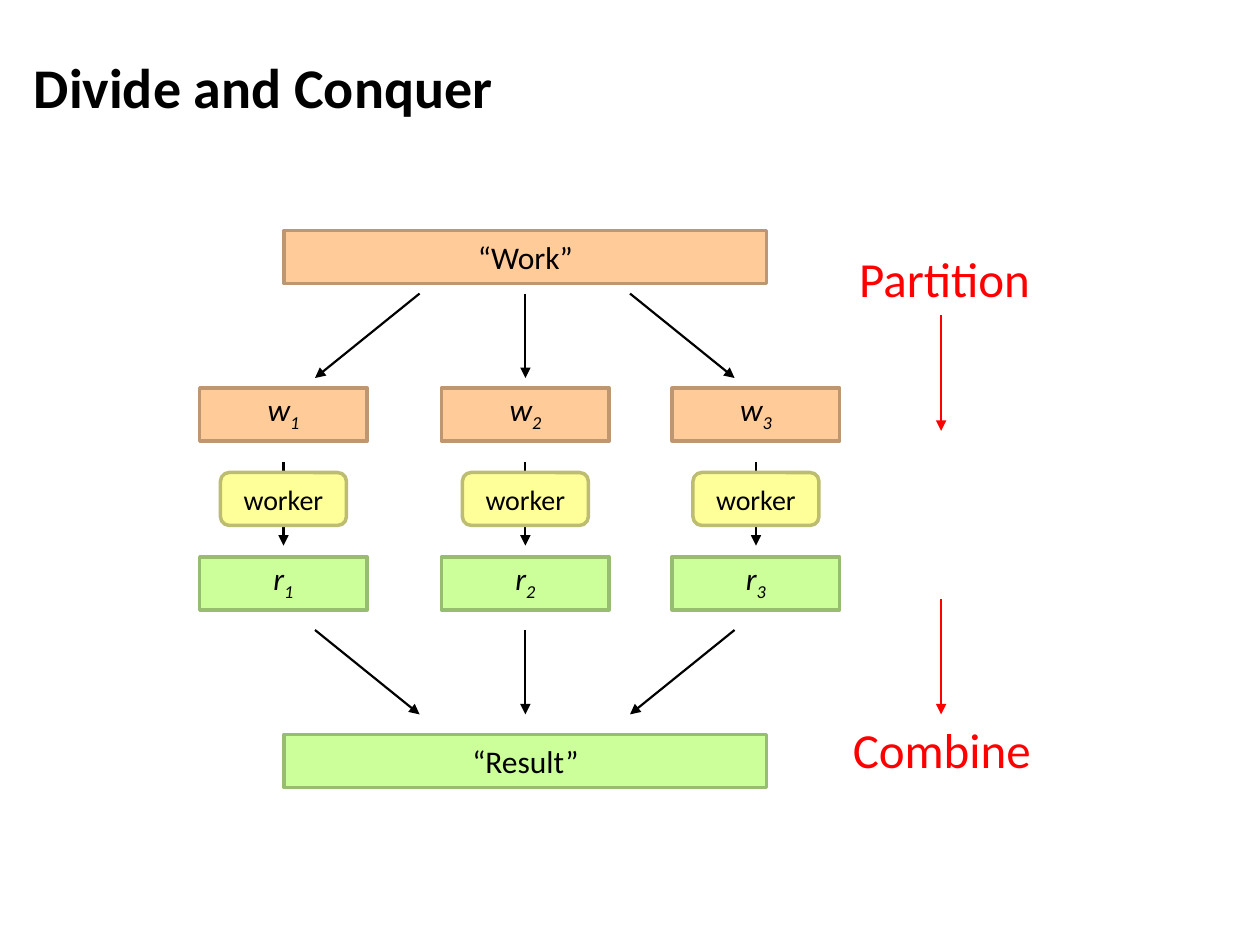
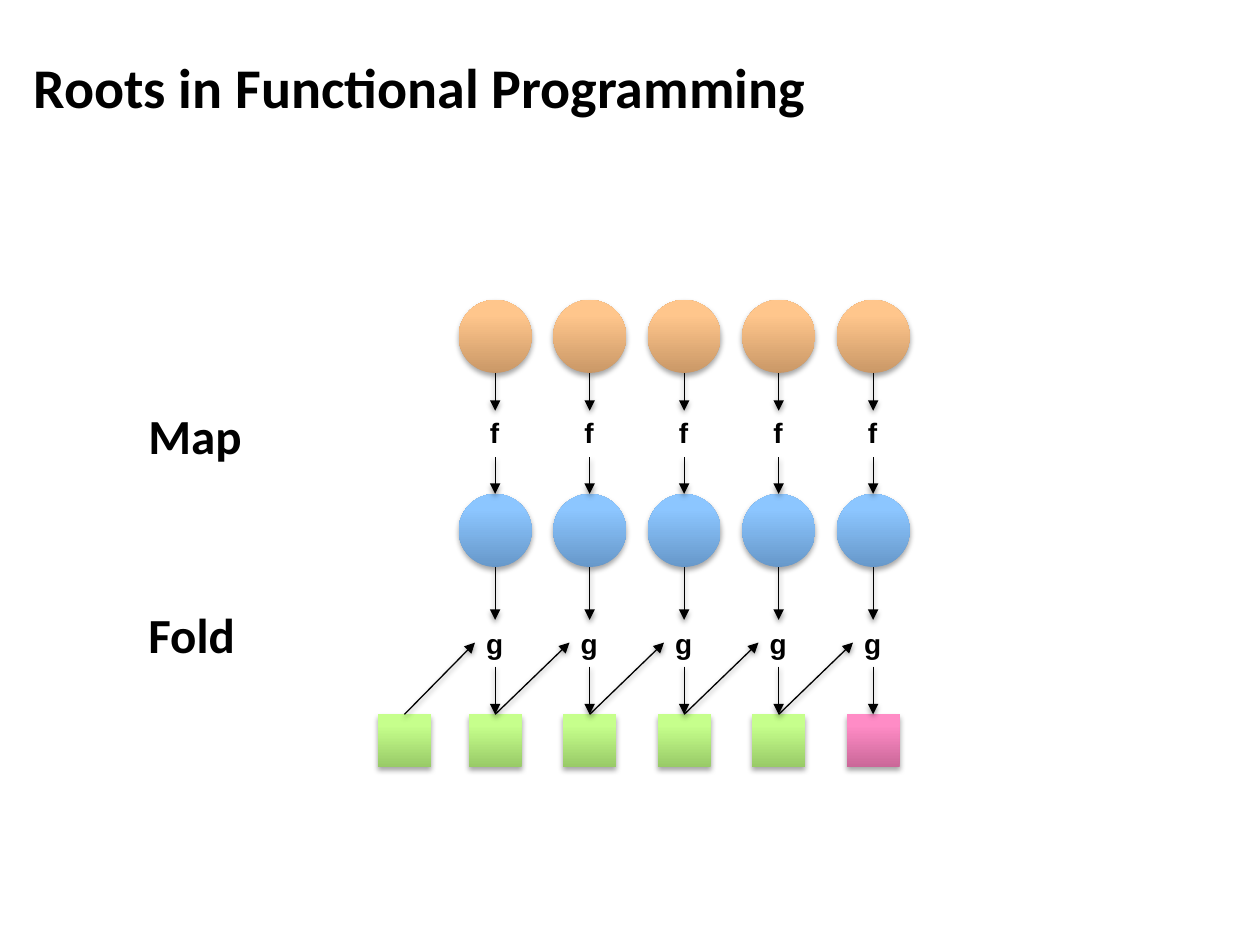
from lxml.etree import SubElement as Sub
from pptx import Presentation
from pptx.dml.color import RGBColor
from pptx.enum.shapes import MSO_CONNECTOR as Conn, MSO_SHAPE as Kind
from pptx.enum.text import MSO_ANCHOR as Anchor, MSO_AUTO_SIZE as Auto, PP_ALIGN as Align
from pptx.oxml.ns import qn
from pptx.util import Inches, Pt

BLACK, RED = "000000", "FF0000"
ORANGE, GREEN, YELLOW = ("FFCC99", "BD9771"), ("CCFF99", "97BD71"), ("FFFF99", "BDBD71")
# Gradient stops, from the bottom up
STOPS = (0, 80, 100)
PEACH = ("CA9867", "FFC68C", "FFC78E")
BLUE = ("6798CA", "8CC6FF", "8EC7FF")
LIME = ("98CA67", "C6FF8C", "C7FF8E")
PINK = ("CA6798", "FF8CC6", "FF8EC7")

TITLE = dict(name="Calibri", size=Pt(32), bold=True)
LABEL = dict(name="Calibri", size=Pt(28))
HEAD = dict(LABEL, bold=True)
BODY = dict(name="Calibri", size=Pt(18))
VAR = dict(BODY, italic=True)
SMALL = dict(name="Calibri", size=Pt(16))
FUNC = dict(name="Arial", size=Pt(16), bold=True)


def color(text):
    return RGBColor.from_string(text)


def tint(parent, value):
    return Sub(parent, qn("a:srgbClr"), val=value)


class Deck:
    def __init__(self):
        self.prs = Presentation()
        self.prs.slide_width, self.prs.slide_height = Inches(10), Inches(7.5)

    def page(self, title):
        self.slide = self.prs.slides.add_slide(self.prs.slide_layouts[6])
        frame = self.text(0.17, 0.12, 9.5, 1.12, title, TITLE)
        frame.auto_size, frame.word_wrap = Auto.NONE, True
        frame.vertical_anchor = Anchor.MIDDLE

    def label(self, para, text, form, ink=BLACK):
        run = para.add_run()
        run.text = text
        for key, value in form.items():
            setattr(run.font, key, value)
        run.font.color.rgb = color(ink)
        return run

    def text(self, x, y, w, h, text, form, ink=BLACK):
        box = self.slide.shapes.add_textbox(*map(Inches, (x, y, w, h)))
        frame = box.text_frame
        frame.word_wrap, frame.auto_size = False, Auto.SHAPE_TO_FIT_TEXT
        self.label(frame.paragraphs[0], text, form, ink)
        return frame

    def box(self, mid, y, w, text, form, paint, sub="", kind=Kind.RECTANGLE):
        """Draw a bordered box centred on mid, with an optional subscript."""
        shape = self.slide.shapes.add_shape(
            kind, *map(Inches, (mid - w / 2, y, w, 0.42)))
        shape.shadow.inherit = False
        shape.fill.solid()
        shape.fill.fore_color.rgb = color(paint[0])
        shape.line.color.rgb = color(paint[1])
        shape.line.width = Pt(2)
        frame = shape.text_frame
        frame.vertical_anchor = Anchor.MIDDLE
        para = frame.paragraphs[0]
        para.alignment = Align.CENTER
        self.label(para, text, form)
        if sub:
            frame.margin_top = 0
            run = self.label(para, sub, form)
            run._r.get_or_add_rPr().set("baseline", "-25000")

    def shade(self, effects, alpha, dist):
        """Fill an effect list with a soft shadow that falls downwards."""
        cast = Sub(effects, qn("a:outerShdw"), blurRad=str(Pt(3.1)),
                   dist=str(Pt(dist)), dir="5400000", rotWithShape="0")
        Sub(tint(cast, BLACK), qn("a:alpha"), val=str(alpha * 1000))

    def node(self, kind, mid, y, size, paint):
        """Draw a gradient shape without border, centred on mid."""
        shape = self.slide.shapes.add_shape(
            kind, *map(Inches, (mid - size / 2, y, size, size)))
        shape.line.fill.background()
        shape.fill.gradient()
        shape.fill.gradient_angle = 90
        props = shape._element.spPr
        stops = props.find(".//" + qn("a:gsLst"))
        stops.clear()
        for pos, tone in zip(STOPS, paint):
            tint(Sub(stops, qn("a:gs"), pos=str(pos * 1000)), tone)
        shape.shadow.inherit = False
        self.shade(props.find(qn("a:effectLst")), 35, 1.8)

    def arrow(self, x1, y1, x2, y2, ink=BLACK, width=1.25, soft=False):
        line = self.slide.shapes.add_connector(
            Conn.STRAIGHT, *map(Inches, (x1, y1, x2, y2)))
        line.line.color.rgb = color(ink)
        line.line.width = Pt(width)
        props = line._element.spPr
        Sub(props.find(qn("a:ln")), qn("a:tailEnd"), type="triangle")
        effects = Sub(props, qn("a:effectLst"))
        if soft:
            self.shade(effects, 38, 1.6)

    def thin(self, x1, y1, x2, y2):
        self.arrow(x1, y1, x2, y2, width=0.75, soft=True)


def divide(deck):
    deck.page("Divide and Conquer")
    mid = 4.17
    deck.box(mid, 1.83, 3.83, "“Work”", BODY, ORANGE)
    deck.box(mid, 5.83, 3.83, "“Result”", BODY, GREEN)
    for num, x in enumerate((2.25, mid, 6), 1):
        deck.box(x, 3.08, 1.33, "w", VAR, ORANGE, str(num))
        deck.box(x, 4.42, 1.33, "r", VAR, GREEN, str(num))
        deck.arrow(x, 3.67, x, 4.33)
        deck.box(x, 3.75, 1, "worker", SMALL, YELLOW, kind=Kind.ROUNDED_RECTANGLE)
    for near, far in ((3.33, 2.5), (mid, mid), (5, 5.83)):
        deck.arrow(near, 2.33, far, 3)
        deck.arrow(far, 5, near, 5.67)
    deck.text(6.72, 1.92, 1.58, 0.57, "Partition", LABEL, RED)
    deck.text(6.67, 5.66, 1.67, 0.57, "Combine", LABEL, RED)
    for y in (2.5, 4.75):
        deck.arrow(7.47, y, 7.47, y + 0.92, RED, 1.5)


def roots(deck):
    deck.page("Roots in Functional Programming")
    deck.text(1.08, 3.17, 1.06, 0.57, "Map", HEAD)
    deck.text(1.08, 4.75, 1.06, 0.57, "Fold", HEAD)
    mids = [3.93 + 0.75 * col for col in range(5)]
    starts = [3.21] + mids[:-1]
    for x in starts:
        deck.node(Kind.RECTANGLE, x, 5.67, 0.42, LIME)
    deck.node(Kind.RECTANGLE, mids[-1], 5.67, 0.42, PINK)
    for start, x in zip(starts, mids):
        deck.node(Kind.OVAL, x, 2.38, 0.58, PEACH)
        deck.node(Kind.OVAL, x, 3.92, 0.58, BLUE)
        deck.text(x - 0.14, 3.25, 0.28, 0.37, "f", FUNC)
        deck.text(x - 0.17, 4.92, 0.34, 0.37, "g", FUNC)
        for top, end in ((2.96, 3.26), (3.63, 3.92), (4.5, 4.92), (5.29, 5.67)):
            deck.thin(x, top, x, end)
        deck.thin(start, 5.67, x - 0.16, 5.1)


def main():
    deck = Deck()
    divide(deck)
    roots(deck)
    deck.prs.save("out.pptx")


if __name__ == "__main__":
    main()
